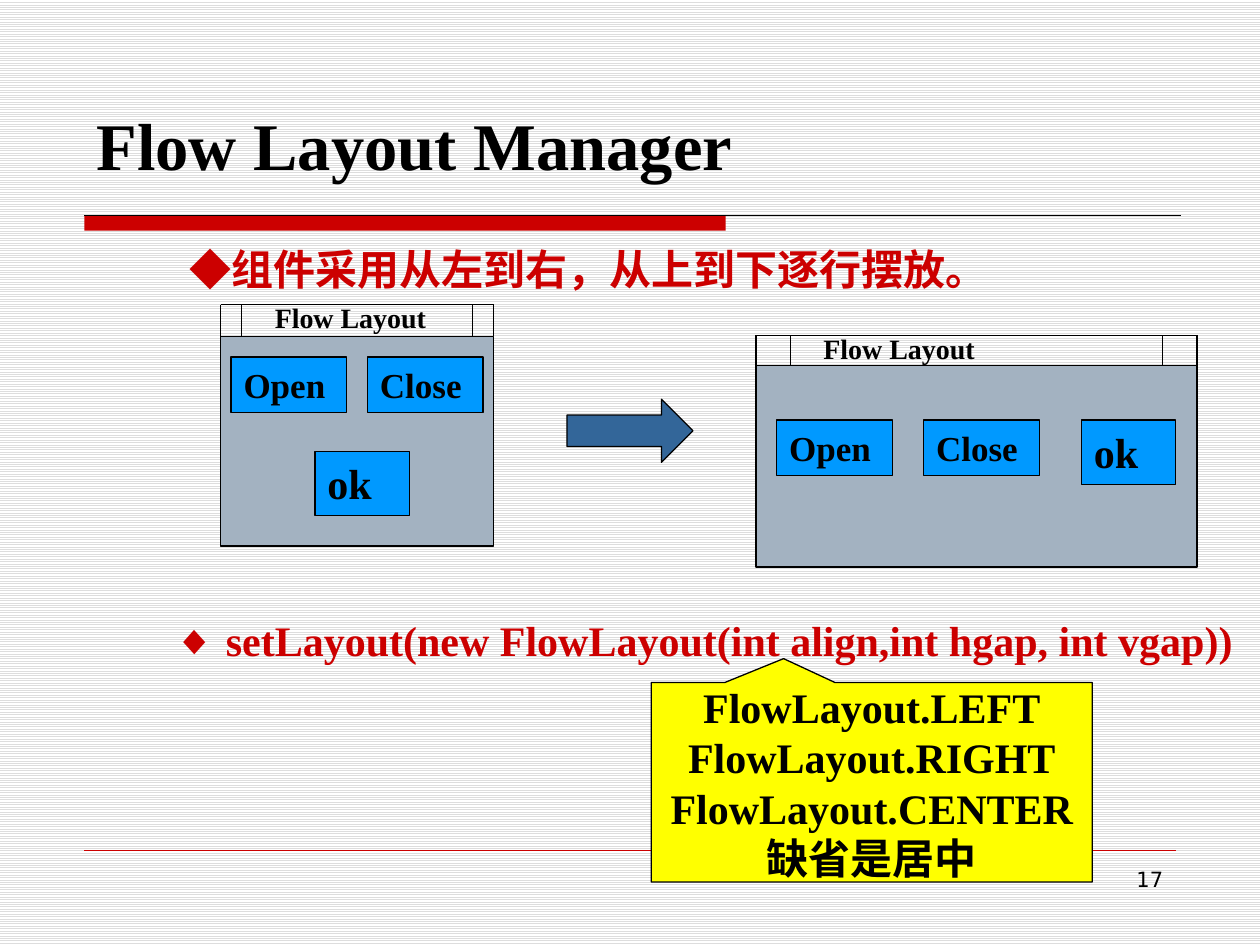
from lxml.etree import SubElement
from pptx import Presentation
from pptx.dml.color import RGBColor
from pptx.enum.dml import MSO_PATTERN as Pattern
from pptx.enum.shapes import MSO_CONNECTOR as Connector, MSO_SHAPE as Shape
from pptx.enum.text import MSO_ANCHOR as Anchor, MSO_AUTO_SIZE as AutoSize, PP_ALIGN as Align
from pptx.oxml.ns import qn
from pptx.util import Cm, Pt

COLORS = {
    "black": "000000", "white": "FFFFFF", "stripe": "DDDDDD", "red": "CC0000",
    "body": "A3B2C1", "button": "0099FF", "arrow": "336699", "note": "FFFF00",
}


def color(name):
    return RGBColor.from_string(COLORS[name])


def write(frame, text, size=24, ink="black", font="Times New Roman", bold=True,
          align=Align.LEFT, anchor=Anchor.TOP, wrap=True, grow=True):
    frame.word_wrap = wrap
    frame.auto_size = AutoSize.SHAPE_TO_FIT_TEXT if grow else AutoSize.NONE
    frame.vertical_anchor = anchor
    for index, line in enumerate(text.split("\n")):
        paragraph = frame.add_paragraph() if index else frame.paragraphs[0]
        paragraph.alignment = align
        run = paragraph.add_run()
        run.text = line
        run.font.name = font
        run.font.size = Pt(size)
        run.font.bold = bold
        run.font.color.rgb = color(ink)


class Canvas:
    line_width = 0.75

    def __init__(self, slide):
        self.slide = slide
        self.shapes = slide.shapes

    def background(self):
        fill = self.slide.background.fill
        fill.patterned()
        fill.pattern = Pattern.LIGHT_HORIZONTAL
        fill.fore_color.rgb = color("stripe")
        fill.back_color.rgb = color("white")

    def text(self, left, top, width, height, text, **style):
        box = self.shapes.add_textbox(Cm(left), Cm(top), Cm(width), Cm(height))
        write(box.text_frame, text, **style)

    def shape(self, kind, left, top, width, height, fill, line="black"):
        shape = self.shapes.add_shape(kind, Cm(left), Cm(top), Cm(width), Cm(height))
        shape.shadow.inherit = False
        shape.fill.solid()
        shape.fill.fore_color.rgb = color(fill)
        if line:
            shape.line.color.rgb = color(line)
            shape.line.width = Pt(self.line_width)
        else:
            shape.line.fill.background()
        return shape

    def line(self, x1, y1, x2, y2, ink="black", width=line_width):
        line = self.shapes.add_connector(Connector.STRAIGHT, Cm(x1), Cm(y1), Cm(x2), Cm(y2))
        line.line.color.rgb = color(ink)
        line.line.width = Pt(width)
        SubElement(line._element.spPr, qn("a:effectLst"))

    def button(self, left, top, text):
        width, height, size = (1.9, 1.3, 24) if text == "ok" else (2.33, 1.12, 20)
        shape = self.shape(Shape.RECTANGLE, left, top, width, height, "button")
        write(shape.text_frame, text, size=size)

    def window(self, left, top, width, bar, height, inset, buttons):
        self.shapes = self.slide.shapes.add_group_shape().shapes
        right, body = left + width, top + bar
        self.shape(Shape.RECTANGLE, left, body, width, height, "body")
        self.line(left, top, right, top)
        for x in (left, left + inset, right - inset, right):
            self.line(x, top, x, body)
        self.text(left + inset + 0.42, top - 0.21, 3.57, 0.94, "Flow Layout",
                  size=16, wrap=False)
        for x, y, text in buttons:
            self.button(left + x, top + y, text)
        self.shapes = self.slide.shapes


def main():
    presentation = Presentation()
    presentation.slide_width, presentation.slide_height = Cm(25.4), Cm(19.05)
    canvas = Canvas(presentation.slides.add_slide(presentation.slide_layouts[6]))
    canvas.background()
    canvas.shape(Shape.RECTANGLE, 1.7, 4.34, 12.93, 0.31, "red", line=None)
    canvas.line(1.7, 4.34, 23.8, 4.34)
    canvas.line(1.7, 17.15, 23.7, 17.15, ink="red", width=0.25)
    canvas.text(18.2, 17.35, 5.5, 1.32, "17", size=12, font="DejaVu Sans",
                bold=False, align=Align.RIGHT, grow=False)
    canvas.text(1.7, 1.98, 13.46, 1.88, "Flow Layout Manager", size=38, wrap=False)
    canvas.text(3.58, 4.78, 17.83, 1.27, "◆组件采用从左到右，从上到下逐行摆放。", ink="red")

    canvas.window(4.45, 6.14, 5.5, 0.64, 4.23, 0.42,
                  [(0.21, 1.06, "Open"), (2.96, 1.06, "Close"), (1.9, 2.96, "ok")])
    canvas.shape(Shape.RIGHT_ARROW, 11.43, 8.05, 2.54, 1.27, "arrow")
    canvas.window(15.24, 6.76, 8.89, 0.61, 4.06, 0.69,
                  [(0.42, 1.71, "Open"), (3.38, 1.71, "Close"), (6.56, 1.71, "ok")])

    canvas.text(3.25, 12.27, 21.87, 1.27,
                "◆ setLayout(new FlowLayout(int align,int hgap, int vgap))",
                ink="red", wrap=False)
    callout = canvas.shape(Shape.RECTANGULAR_CALLOUT, 13.13, 13.76, 8.89, 4.02, "note")
    callout.adjustments[0], callout.adjustments[1] = -0.2, -0.62
    write(callout.text_frame,
          "FlowLayout.LEFT\nFlowLayout.RIGHT\nFlowLayout.CENTER\n缺省是居中",
          align=Align.CENTER, anchor=Anchor.MIDDLE, wrap=False, grow=False)
    presentation.save("out.pptx")


if __name__ == "__main__":
    main()
